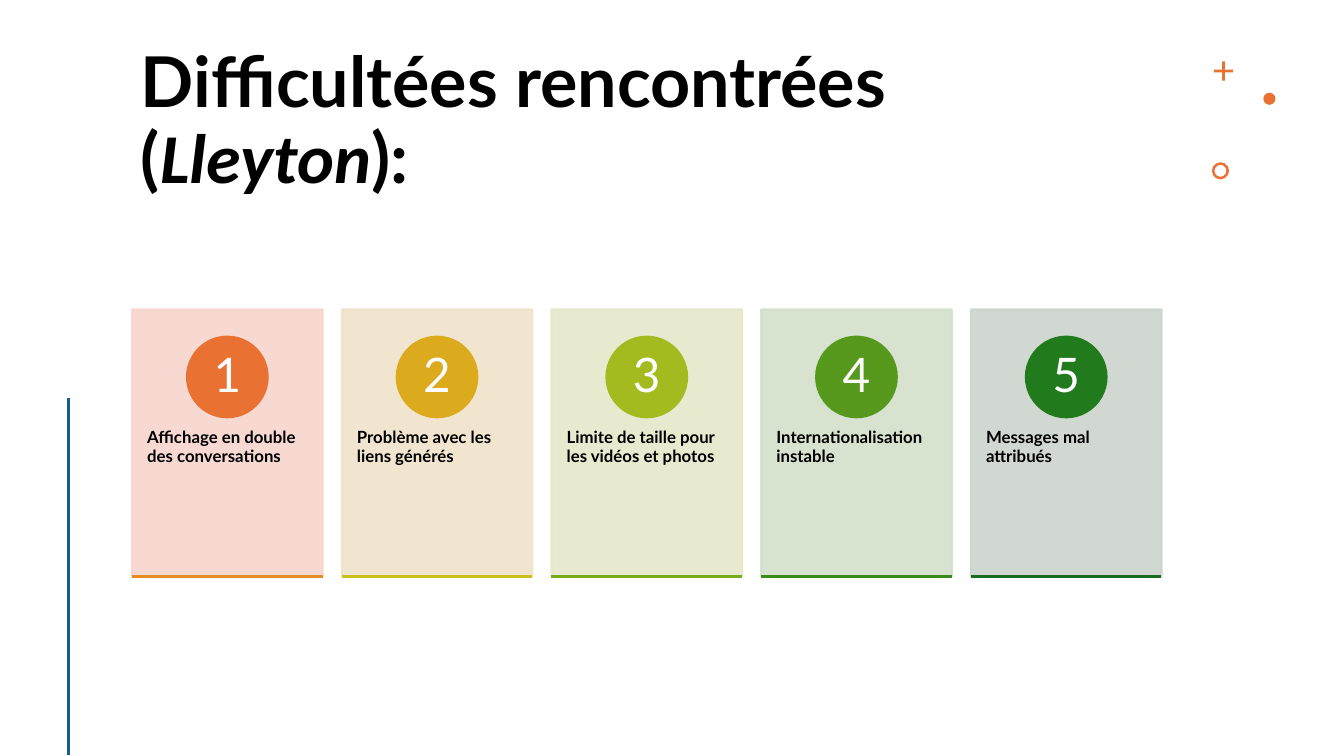
from lxml import etree
from pptx import Presentation
from pptx import util as u
from pptx.dml.color import RGBColor
from pptx.enum import shapes, text
from pptx.oxml.ns import qn

HUES = {"ink": "000000", "white": "FFFFFF", "orange": "E97132", "blue": "156082"}
CARDS = [
    ("Affichage en double des conversations", "F7D5CE", "E97132", "E58D25"),
    ("Problème avec les liens générés", "F0E3CB", "DCAB1D", "CBC11E"),
    ("Limite de taille pour les vidéos et photos", "E5E8CA", "A4BA1E", "7AAA1E"),
    ("Internationalisation instable", "D3DFCA", "56991D", "398A1C"),
    ("Messages mal attribués", "CCD4CD", "217A1B", "196B24"),
]
FORM = shapes.MSO_SHAPE
LEFT, TOP, WIDE, HIGH, STEP = 1.31, 3.07, 1.89, 2.65, 2.08
DISC = 0.8


class Deck:
    face = "Lato"

    def __init__(self, slide):
        self.items = slide.shapes

    def color(self, hue):
        return RGBColor.from_string(HUES.get(hue, hue))

    def shape(self, form, box, hue, edge=None, alpha=None):
        item = self.items.add_shape(form, *map(u.Inches, box))
        item.shadow.inherit = False
        item.fill.solid()
        item.fill.fore_color.rgb = self.color(hue)
        if edge:
            item.line.color.rgb = self.color(hue)
            item.line.width = u.Pt(edge)
        else:
            item.line.fill.background()
        if alpha:
            for node in item._element.spPr.iter(qn("a:srgbClr")):
                etree.SubElement(node, qn("a:alpha"), val=str(alpha * 1000))
        return item

    def line(self, start, end, hue, width):
        item = self.items.add_connector(
            shapes.MSO_CONNECTOR.STRAIGHT, *map(u.Inches, start + end))
        item.line.color.rgb = self.color(hue)
        item.line.width = u.Pt(width)
        etree.SubElement(item._element.spPr, qn("a:effectLst"))

    def letter(self, item, runs, size, hue="ink", bold=False, pad=(0.1, 0.05),
               align=text.PP_ALIGN.LEFT, anchor=text.MSO_ANCHOR.TOP):
        frame = item.text_frame
        frame.word_wrap = True
        frame.vertical_anchor = anchor
        frame.margin_left = frame.margin_right = u.Inches(pad[0])
        frame.margin_top = frame.margin_bottom = u.Inches(pad[1])
        para = frame.paragraphs[0]
        para.alignment = align
        para.line_spacing = 0.9
        font = para.font
        font.size, font.bold, font.name = u.Pt(size), bold, self.face
        font.color.rgb = self.color(hue)
        for words, face, slant in runs:
            run = para.add_run()
            run.text = words
            run.font.name = face or self.face
            run.font.size, run.font.bold = u.Pt(size), bold
            run.font.italic = slant
            run.font.color.rgb = self.color(hue)

    def label(self, box, runs, size, **style):
        item = self.items.add_textbox(*map(u.Inches, box))
        self.letter(item, runs, size, **style)

    def card(self, index, words, back, disc, rule):
        left = LEFT + index * STEP
        base = TOP + HIGH
        self.shape(FORM.RECTANGLE, (left, TOP, WIDE, HIGH), back, 1.5, 90)
        self.label((left, 4.08, WIDE, 1.59), [(words, None, False)], 12,
                   bold=True, pad=(0.15, 0.36))
        badge = self.shape(
            FORM.OVAL, (left + (WIDE - DISC) / 2, 3.34, DISC, DISC), disc, 1.5)
        self.letter(badge, [(str(index + 1), None, False)], 34, hue="white",
                    pad=(0.06, 0.01), align=text.PP_ALIGN.CENTER,
                    anchor=text.MSO_ANCHOR.MIDDLE)
        self.line((left, base), (left + WIDE, base), rule, 1.5)


def main():
    show = Presentation()
    show.slide_width, show.slide_height = u.Inches(13.33), u.Inches(7.5)
    deck = Deck(show.slides.add_slide(show.slide_layouts[6]))
    deck.label((1.3, 0.42, 10.23, 1.31),
               [("Difficultées rencontrées (", None, False),
                ("Lleyton", "Calibri", True), ("):", None, False)],
               50, bold=True)
    plus = deck.shape(FORM.CROSS, (12.04, 0.61, 0.19, 0.19), "orange")
    plus.adjustments[0] = 0.43
    deck.shape(FORM.OVAL, (12.53, 0.92, 0.12, 0.12), "orange")
    ring = deck.shape(FORM.DONUT, (12.02, 1.61, 0.17, 0.17), "orange")
    ring.adjustments[0] = 0.15
    deck.line((0.68, 3.95), (0.68, 7.49), "blue", 2)
    for index, card in enumerate(CARDS):
        deck.card(index, *card)
    show.save("out.pptx")


if __name__ == "__main__":
    main()
